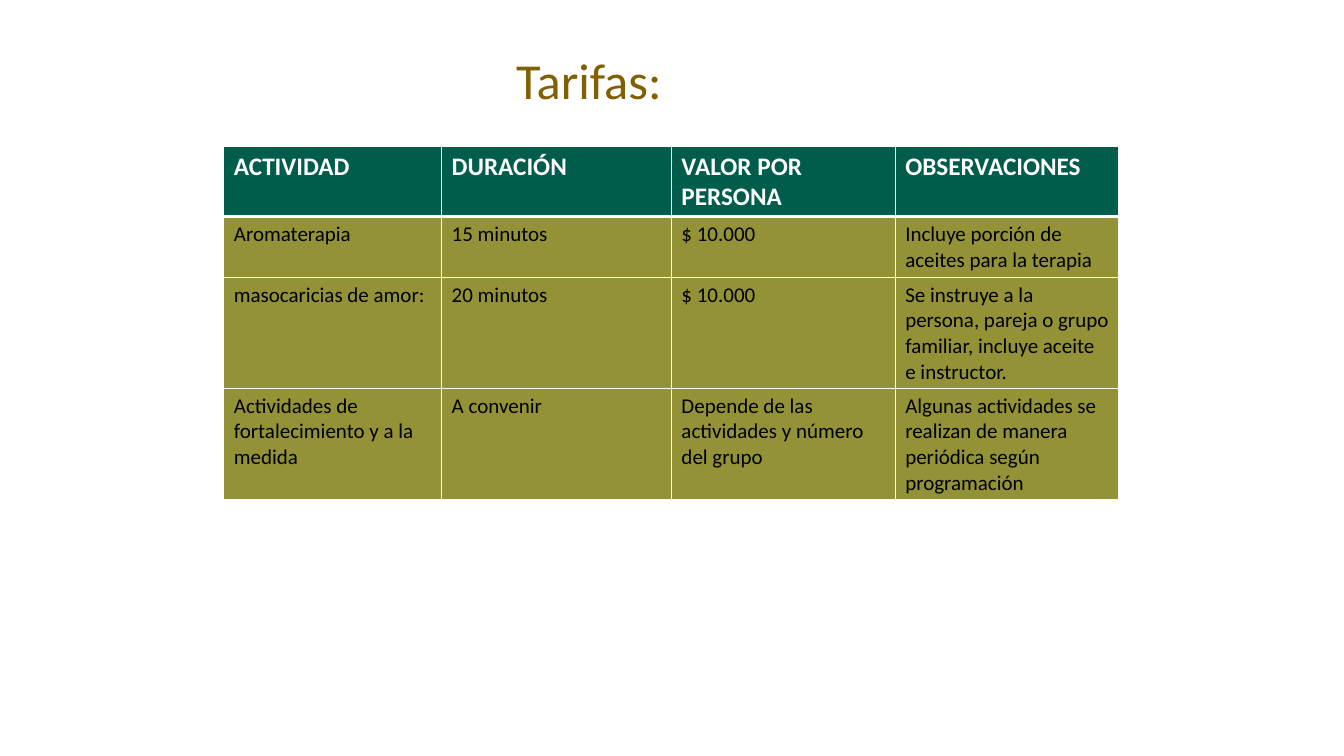
from lxml.etree import SubElement
from pptx import Presentation
from pptx.dml.color import RGBColor
from pptx.enum.text import MSO_ANCHOR, MSO_AUTO_SIZE, PP_ALIGN
from pptx.oxml.ns import qn
from pptx.util import Cm, Pt

COLORS = {
    "title": "806000",
    "head": "005C4B",
    "body": "939236",
    "light": "FFFFFF",
    "dark": "000000",
}
RATES = [
    ("ACTIVIDAD", "DURACIÓN", "VALOR POR PERSONA", "OBSERVACIONES"),
    ("Aromaterapia", "15 minutos", "$ 10.000",
     "Incluye porción de aceites para la terapia"),
    ("masocaricias de amor:", "20 minutos", "$ 10.000",
     "Se instruye a la persona, pareja o grupo familiar, "
     "incluye aceite e instructor."),
    ("Actividades de fortalecimiento y a la medida", "A convenir",
     "Depende de las actividades y número del grupo",
     "Algunas actividades se realizan de manera periódica "
     "según programación"),
]
WIDTHS = (5.49, 5.79, 5.64, 5.64)
HEIGHTS = (1.75, 1.5, 2.8, 2.8)


class Deck:
    """Holds the font, the colours and the current slide."""

    def __init__(self, font, colors):
        self.font = font
        self.colors = colors
        self.prs = Presentation()
        self.prs.slide_width = Cm(33.87)
        self.prs.slide_height = Cm(19.05)
        self.slide = self.prs.slides.add_slide(self.prs.slide_layouts[5])

    def paint(self, frame, size, color, bold=False):
        for para in frame.paragraphs:
            para.alignment = PP_ALIGN.LEFT
            for run in para.runs:
                run.font.name = self.font
                run.font.size = Pt(size)
                run.font.bold = bold
                run.font.color.rgb = RGBColor.from_string(self.colors[color])

    def title(self, text, left, top, width, height):
        shape = self.slide.shapes.title
        shape.left, shape.top = Cm(left), Cm(top)
        shape.width, shape.height = Cm(width), Cm(height)
        frame = shape.text_frame
        frame.text = text
        frame.word_wrap = True
        frame.auto_size = MSO_AUTO_SIZE.SHAPE_TO_FIT_TEXT
        frame.vertical_anchor = MSO_ANCHOR.TOP
        self.paint(frame, 36, "title")

    def border(self, cell, top, bottom):
        """Draw all four sides; top and bottom are widths in points."""
        props = cell._tc.get_or_add_tcPr()
        for side, width in zip("LRTB", (1, 1, top, bottom)):
            line = SubElement(props, qn(f"a:ln{side}"), w=str(Pt(width)))
            fill = SubElement(line, qn("a:solidFill"))
            SubElement(fill, qn("a:srgbClr"), val=self.colors["light"])

    def cell(self, cell, text, row):
        head = row == 0
        cell.text = text
        self.border(cell, 3 if row == 1 else 1, 3 if head else 1)
        cell.fill.solid()
        fill = self.colors["head" if head else "body"]
        cell.fill.fore_color.rgb = RGBColor.from_string(fill)
        self.paint(cell.text_frame, 18 if head else 15,
                   "light" if head else "dark", head)

    def table(self, data, left, top, widths, heights):
        table = self.slide.shapes.add_table(
            len(data), len(widths), Cm(left), Cm(top),
            Cm(sum(widths)), Cm(sum(heights))).table
        for col, width in zip(table.columns, widths):
            col.width = Cm(width)
        for row, height in zip(table.rows, heights):
            row.height = Cm(height)
        for r, texts in enumerate(data):
            for c, text in enumerate(texts):
                self.cell(table.cell(r, c), text, r)


def main():
    deck = Deck("Calibri", COLORS)
    deck.title("Tarifas:", 12.75, 1.12, 13.67, 1.8)
    deck.table(RATES, 5.64, 3.68, WIDTHS, HEIGHTS)
    deck.prs.save("out.pptx")


if __name__ == "__main__":
    main()
